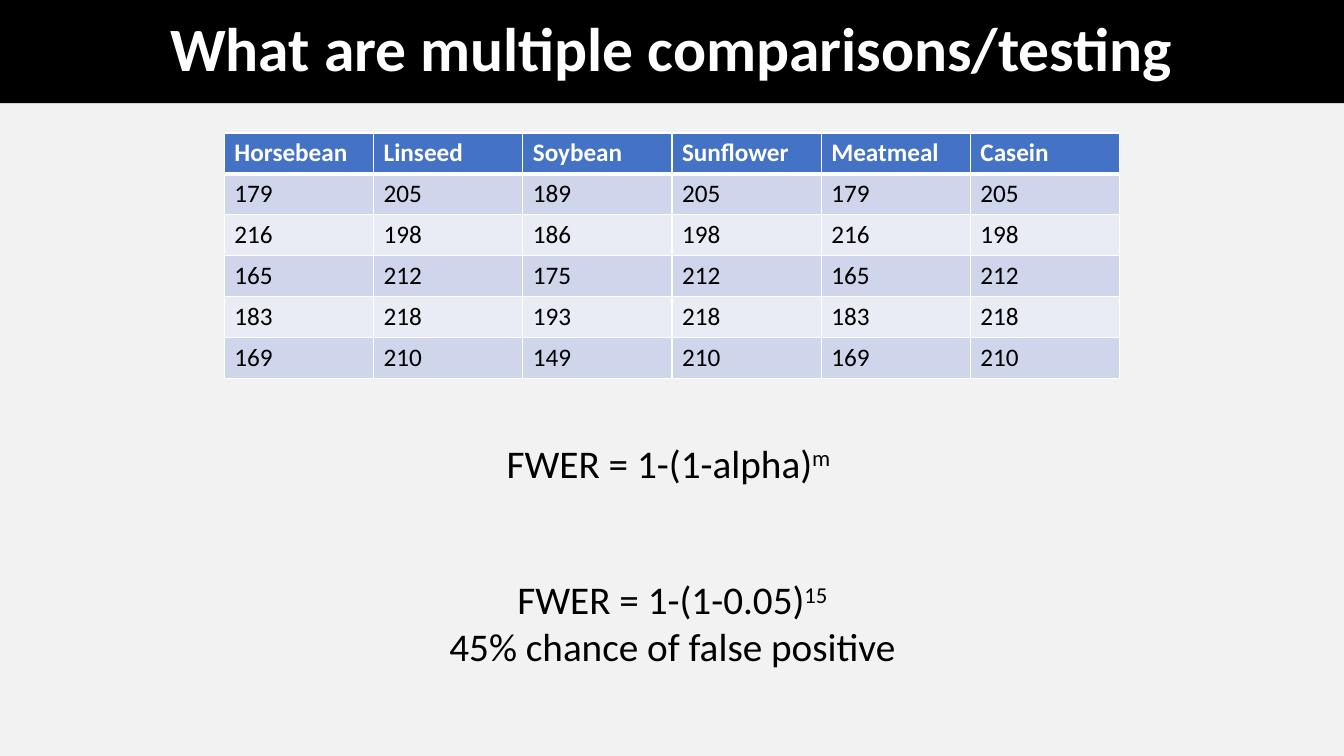
from dataclasses import dataclass

from lxml.etree import SubElement
from pptx import Presentation
from pptx.dml.color import RGBColor as Rgb
from pptx.enum.shapes import MSO_SHAPE as Shape
from pptx.enum.text import MSO_ANCHOR as Anchor, MSO_AUTO_SIZE as AutoSize, PP_ALIGN as Align
from pptx.oxml.ns import qn
from pptx.slide import Slide
from pptx.table import _Cell as Cell
from pptx.text.text import Font
from pptx.util import Cm, Pt


@dataclass(frozen=True)
class Theme:
    font: str = "Calibri"
    background: str = "F2F2F2"
    black: str = "000000"
    white: str = "FFFFFF"
    header: str = "4472C4"
    bands: tuple[str, str] = ("CFD5EA", "E9EBF5")
    title_size: int = 44
    formula_size: int = 28
    table_size: int = 18
    thin_border: int = 1
    thick_border: int = 3


@dataclass(frozen=True)
class Line:
    text: str
    exponent: str = ""


@dataclass(frozen=True)
class Formula:
    left: float
    top: float
    width: float
    height: float
    align: Align
    lines: tuple[Line, ...]


THEME = Theme()
WIDTH, HEIGHT = 33.87, 19.05
TITLE_HEIGHT = 2.6
COLUMN_WIDTH, ROW_HEIGHT = 3.76, 1.03
TABLE_TOP = 3.35

FEEDS = ("Horsebean", "Linseed", "Soybean", "Sunflower", "Meatmeal", "Casein")
WEIGHTS = (
    (179, 205, 189, 205, 179, 205),
    (216, 198, 186, 198, 216, 198),
    (165, 212, 175, 212, 165, 212),
    (183, 218, 193, 218, 183, 218),
    (169, 210, 149, 210, 169, 210),
)
FORMULAS = (
    Formula(12.52, 10.95, 8.84, 1.45, Align.LEFT, (Line("FWER = 1-(1-alpha)", "m"),)),
    Formula(11, 14.38, 11.89, 2.64, Align.CENTER,
            (Line("FWER = 1-(1-0.05)", "15"), Line("45% chance of false positive"))),
)


def style(font: Font, size: int, color: str, bold: bool = False) -> None:
    font.name = THEME.font
    font.size = Pt(size)
    font.bold = bold
    font.color.rgb = Rgb.from_string(color)


def draw_title(slide: Slide, text: str) -> None:
    banner = slide.shapes.add_shape(Shape.RECTANGLE, 0, 0, Cm(WIDTH), Cm(TITLE_HEIGHT))
    banner.shadow.inherit = False
    banner.fill.solid()
    banner.fill.fore_color.rgb = Rgb.from_string(THEME.black)
    banner.line.fill.background()
    banner.text_frame.text = text
    banner.text_frame.vertical_anchor = Anchor.MIDDLE
    heading = banner.text_frame.paragraphs[0]
    heading.alignment = Align.CENTER
    heading.line_spacing = 0.9
    style(heading.runs[0].font, THEME.title_size, THEME.white, bold=True)


def set_borders(cell: Cell, top: int, bottom: int) -> None:
    thin = THEME.thin_border
    properties = cell._tc.get_or_add_tcPr()
    for side, width in (("lnL", thin), ("lnR", thin), ("lnT", top), ("lnB", bottom)):
        border = SubElement(properties, qn(f"a:{side}"), w=str(Pt(width)))
        fill = SubElement(border, qn("a:solidFill"))
        SubElement(fill, qn("a:srgbClr"), val=THEME.white)


def draw_weights(slide: Slide) -> None:
    rows = (FEEDS, *WEIGHTS)
    width = COLUMN_WIDTH * len(FEEDS)
    table = slide.shapes.add_table(
        len(rows), len(FEEDS), Cm((WIDTH - width) / 2), Cm(TABLE_TOP),
        Cm(width), Cm(ROW_HEIGHT * len(rows))).table
    for column in table.columns:
        column.width = Cm(COLUMN_WIDTH)
    for index, values in enumerate(rows):
        table.rows[index].height = Cm(ROW_HEIGHT)
        is_header = index == 0
        background = THEME.header if is_header else THEME.bands[(index - 1) % 2]
        color = THEME.white if is_header else THEME.black
        top = THEME.thick_border if index == 1 else THEME.thin_border
        bottom = THEME.thick_border if is_header else THEME.thin_border
        for cell, value in zip(table.rows[index].cells, values):
            set_borders(cell, top, bottom)
            cell.fill.solid()
            cell.fill.fore_color.rgb = Rgb.from_string(background)
            cell.text_frame.text = str(value)
            style(cell.text_frame.paragraphs[0].runs[0].font, THEME.table_size, color, is_header)


def draw_formula(slide: Slide, formula: Formula) -> None:
    frame = slide.shapes.add_textbox(
        Cm(formula.left), Cm(formula.top), Cm(formula.width), Cm(formula.height)).text_frame
    frame.word_wrap = False
    frame.auto_size = AutoSize.SHAPE_TO_FIT_TEXT
    frame.text = "\n".join(line.text for line in formula.lines)
    for paragraph, line in zip(frame.paragraphs, formula.lines):
        paragraph.alignment = formula.align
        if line.exponent:
            exponent = paragraph.add_run()
            exponent.text = line.exponent
            exponent._r.get_or_add_rPr().set("baseline", "30000")
        for run in paragraph.runs:
            style(run.font, THEME.formula_size, THEME.black)


def main() -> None:
    deck = Presentation()
    deck.slide_width, deck.slide_height = Cm(WIDTH), Cm(HEIGHT)
    slide = deck.slides.add_slide(deck.slide_layouts[6])
    slide.background.fill.solid()
    slide.background.fill.fore_color.rgb = Rgb.from_string(THEME.background)
    draw_title(slide, "What are multiple comparisons/testing")
    draw_weights(slide)
    for formula in FORMULAS:
        draw_formula(slide, formula)
    deck.save("out.pptx")


if __name__ == "__main__":
    main()
